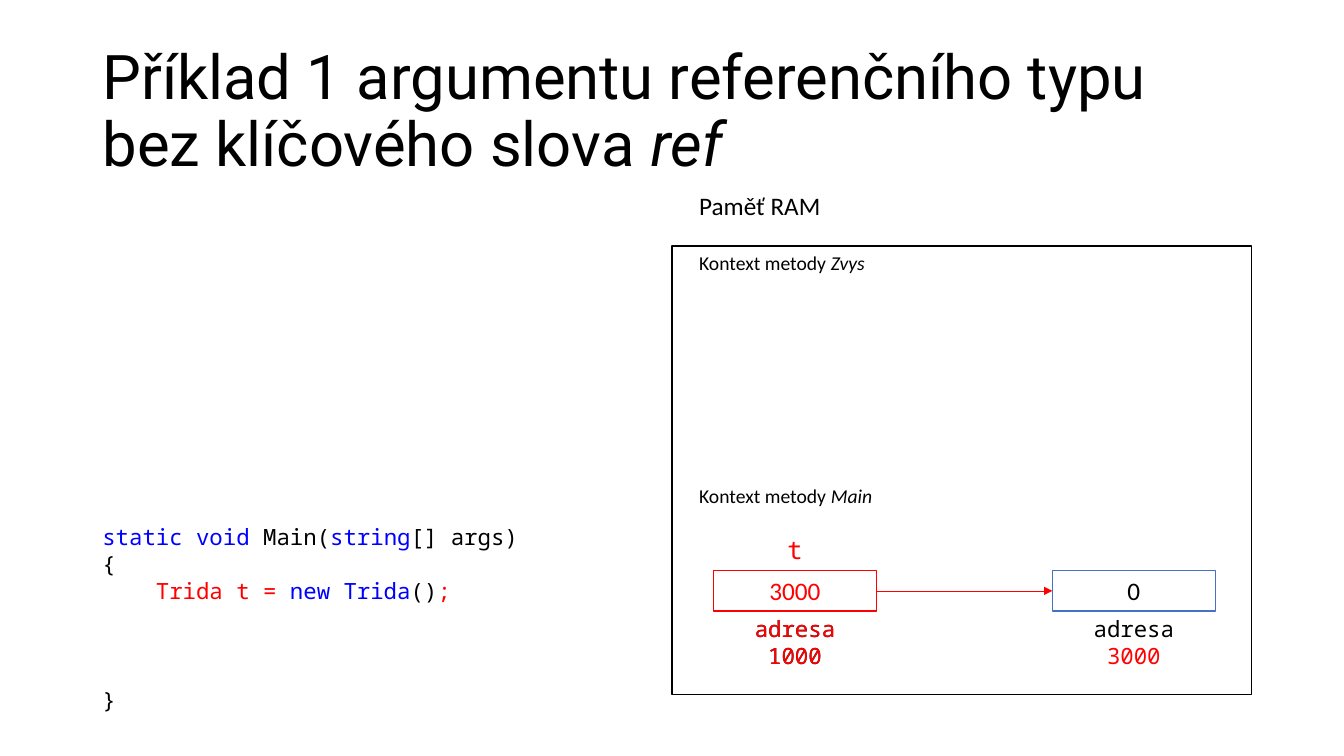
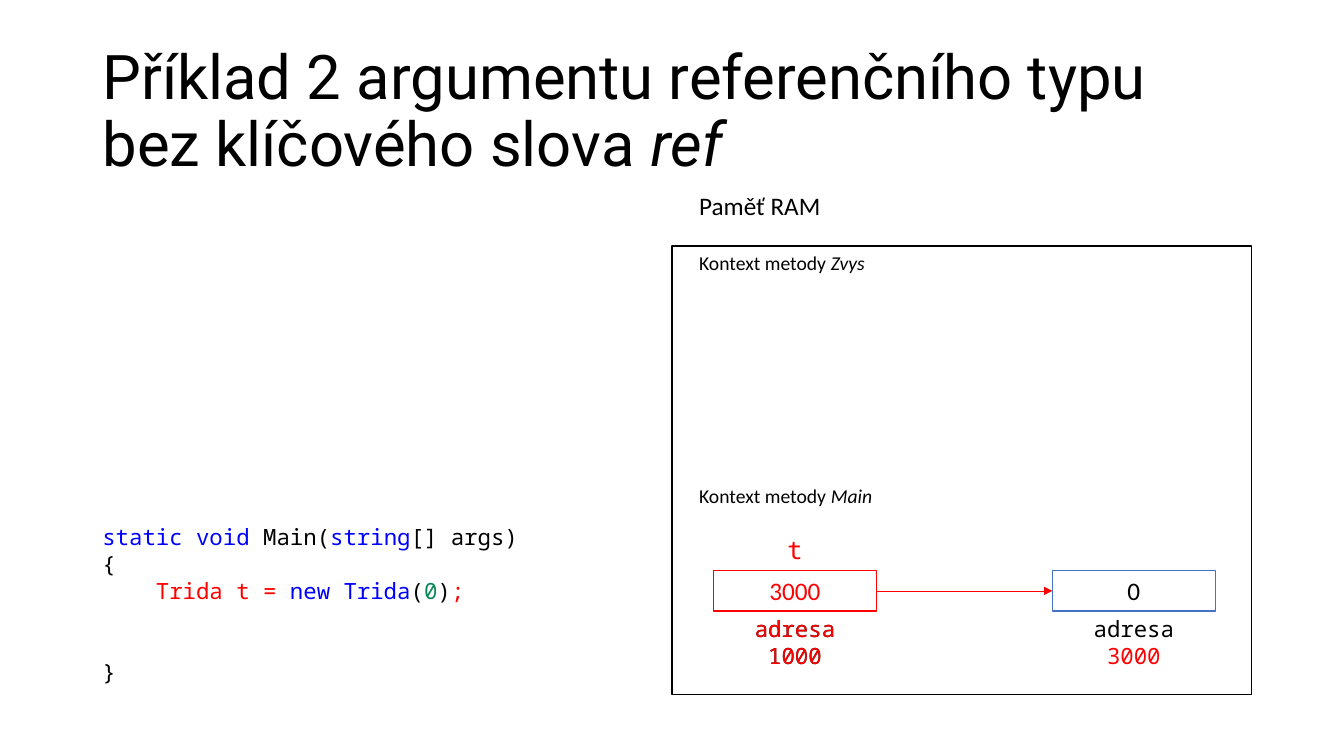
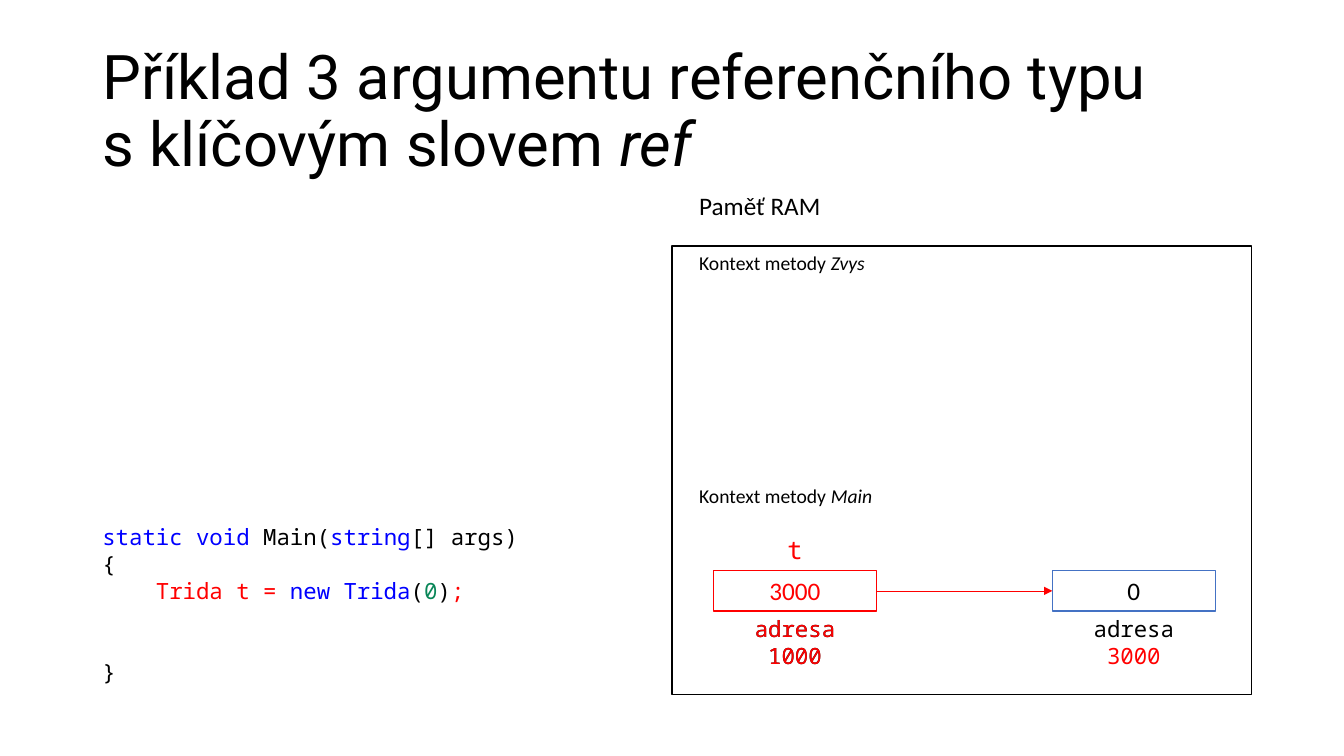
import dataclasses
import typing

import pptx
import pptx.dml.color
import pptx.enum.shapes
import pptx.enum.text
import pptx.oxml.ns
import pptx.shapes.autoshape
import pptx.shapes.connector
import pptx.slide
import pptx.text.text
import pptx.util
from lxml import etree

Cm = pptx.util.Cm
Pt = pptx.util.Pt
LEFT = pptx.enum.text.PP_ALIGN.LEFT
CENTER = pptx.enum.text.PP_ALIGN.CENTER

BLACK, WHITE, RED = "000000", "FFFFFF", "FF0000"
BLUE, KEYWORD, NUMBER = "4472C4", "0000FF", "098658"
TITLE_FONT, LABEL_FONT, CODE_FONT = "Roboto", "Calibri", "Noto Sans Mono"
CODE_LINE_POINTS = 19.4
VARIABLE_LEFT, OBJECT_LEFT = 17.98, 26.52
CELL_WIDTH, CELL_TOP, ADDRESS_TOP = 4.11, 14.38, 15.37
LABEL_LEFT = 17.37


@dataclasses.dataclass(frozen=True)
class Span:
    """A piece of text with its own colour and slant."""

    text: str
    color: str = BLACK
    italic: bool = False


@dataclasses.dataclass(frozen=True)
class Box:
    """A rectangle in centimetres."""

    left: float
    top: float
    width: float
    height: float

    def lengths(self) -> tuple[pptx.util.Length, ...]:
        """Return left, top, width and height as lengths."""
        return tuple(Cm(value) for value in dataclasses.astuple(self))


@dataclasses.dataclass(frozen=True)
class Example:
    """The parts in which the example slides differ."""

    number: int
    wording: str
    argument: str
    blank_lines: int


Line = typing.Sequence[Span]

EXAMPLES = (
    Example(1, "bez klíčového slova ", "", 3),
    Example(2, "bez klíčového slova ", "0", 2),
    Example(3, "s klíčovým slovem ", "0", 2),
)


def rgb(color: str) -> pptx.dml.color.RGBColor:
    """Turn a hex string into a colour."""
    return pptx.dml.color.RGBColor.from_string(color)


def add_text(
    paragraph: pptx.text.text._Paragraph,
    text: str,
    *,
    font: str,
    size: float,
    color: str = BLACK,
    italic: bool = False,
) -> None:
    """Append one formatted run to a paragraph."""
    run = paragraph.add_run()
    run.text = text
    run.font.name = font
    run.font.size = Pt(size)
    run.font.italic = italic
    run.font.color.rgb = rgb(color)


def add_label(
    slide: pptx.slide.Slide,
    box: Box,
    lines: typing.Sequence[Line],
    *,
    font: str,
    size: float,
    alignment: pptx.enum.text.PP_ALIGN = LEFT,
) -> pptx.text.text.TextFrame:
    """Add a text box with one paragraph per line."""
    frame = slide.shapes.add_textbox(*box.lengths()).text_frame
    frame.word_wrap = True
    frame.auto_size = pptx.enum.text.MSO_AUTO_SIZE.SHAPE_TO_FIT_TEXT
    for index, line in enumerate(lines):
        paragraph = frame.add_paragraph() if index else frame.paragraphs[0]
        paragraph.alignment = alignment
        for span in line:
            add_text(paragraph, span.text, font=font, size=size,
                     color=span.color, italic=span.italic)
    return frame


def add_rectangle(
    slide: pptx.slide.Slide, box: Box, line_color: str
) -> pptx.shapes.autoshape.Shape:
    """Add a white rectangle with a thin outline."""
    shape = slide.shapes.add_shape(
        pptx.enum.shapes.MSO_SHAPE.RECTANGLE, *box.lengths())
    shape.shadow.inherit = False
    shape.fill.solid()
    shape.fill.fore_color.rgb = rgb(WHITE)
    shape.line.color.rgb = rgb(line_color)
    shape.line.width = Pt(1)
    return shape


def add_cell(
    slide: pptx.slide.Slide, left: float, value: str, *, line_color: str, color: str
) -> pptx.shapes.autoshape.Shape:
    """Add a memory cell holding a value."""
    shape = add_rectangle(slide, Box(left, CELL_TOP, CELL_WIDTH, 1.02), line_color)
    shape.text_frame.vertical_anchor = pptx.enum.text.MSO_ANCHOR.MIDDLE
    paragraph = shape.text_frame.paragraphs[0]
    paragraph.alignment = CENTER
    add_text(paragraph, value, font=LABEL_FONT, size=18, color=color)
    return shape


def add_arrow(
    slide: pptx.slide.Slide,
    source: pptx.shapes.autoshape.Shape,
    target: pptx.shapes.autoshape.Shape,
) -> None:
    """Join the right side of one cell to the left side of another."""
    connector = slide.shapes.add_connector(
        pptx.enum.shapes.MSO_CONNECTOR.STRAIGHT, 0, 0, 0, 0)
    connector.begin_connect(source, 3)
    connector.end_connect(target, 1)
    connector.line.color.rgb = rgb(RED)
    connector.line.width = Pt(0.5)
    qualified = pptx.oxml.ns.qn
    properties = connector._element.spPr
    etree.SubElement(properties.find(qualified("a:ln")), qualified("a:tailEnd"),
                     type="triangle")
    etree.SubElement(properties, qualified("a:effectLst"))


def add_title(slide: pptx.slide.Slide, example: Example) -> None:
    """Place and fill the title placeholder."""
    title = slide.shapes.title
    title.left, title.top, title.width, title.height = Box(
        2.33, 1.01, 29.21, 3.68).lengths()
    frame = title.text_frame
    frame.word_wrap = True
    frame.auto_size = pptx.enum.text.MSO_AUTO_SIZE.NONE
    frame.vertical_anchor = pptx.enum.text.MSO_ANCHOR.MIDDLE
    paragraph = frame.paragraphs[0]
    paragraph.alignment = LEFT
    paragraph.line_spacing = 0.9
    add_text(paragraph, f"Příklad {example.number} argumentu referenčního typu",
             font=TITLE_FONT, size=44)
    paragraph.add_line_break()
    add_text(paragraph, example.wording, font=TITLE_FONT, size=44)
    add_text(paragraph, "ref", font=TITLE_FONT, size=44, italic=True)


def add_code(slide: pptx.slide.Slide, example: Example) -> None:
    """Add the listing of the Main method."""
    lines = (
        (Span("static void ", KEYWORD), Span("Main("), Span("string", KEYWORD),
         Span("[] args)")),
        (Span("{"),),
        (Span("    Trida t = ", RED), Span("new Trida", KEYWORD), Span("("),
         *([Span(example.argument, NUMBER)] if example.argument else []),
         Span(")"), Span(";", RED)),
        (Span("}"),),
    )
    frame = add_label(slide, Box(2.33, 13.07, 14.6, 5), lines,
                      font=CODE_FONT, size=16)
    frame.paragraphs[-1].space_before = Pt(example.blank_lines * CODE_LINE_POINTS)


def add_memory(slide: pptx.slide.Slide) -> None:
    """Draw the memory with the variable and the object it refers to."""
    add_label(slide, Box(LABEL_LEFT, 4.67, 4.72, 1.03), [[Span("Paměť RAM")]],
              font=LABEL_FONT, size=18)
    for method, top in (("Main", 12.07), ("Zvys", 6.2)):
        add_label(slide, Box(LABEL_LEFT, top, 7.92, 0.85),
                  [[Span("Kontext metody "), Span(method, italic=True)]],
                  font=LABEL_FONT, size=14)
    variable = add_cell(slide, VARIABLE_LEFT, "3000", line_color=RED, color=RED)
    target = add_cell(slide, OBJECT_LEFT, "0", line_color=BLUE, color=BLACK)
    add_label(slide, Box(VARIABLE_LEFT, 13.34, CELL_WIDTH, 1.03), [[Span("t", RED)]],
              font=CODE_FONT, size=18, alignment=CENTER)
    addresses = (
        (VARIABLE_LEFT, [Span("adresa 1000")]),
        (VARIABLE_LEFT, [Span("adresa 1000", RED)]),
        (OBJECT_LEFT, [Span("adresa "), Span("3000", RED)]),
    )
    for left, line in addresses:
        add_label(slide, Box(left, ADDRESS_TOP, CELL_WIDTH, 0.94), [line],
                  font=CODE_FONT, size=16, alignment=CENTER)
    add_arrow(slide, variable, target)


def main() -> None:
    """Build and save the presentation."""
    presentation = pptx.Presentation()
    presentation.slide_width = Cm(33.87)
    presentation.slide_height = Cm(19.05)
    for example in EXAMPLES:
        slide = presentation.slides.add_slide(presentation.slide_layouts[5])
        add_rectangle(slide, Box(16.94, 6.2, 14.6, 11.3), BLACK)
        add_title(slide, example)
        add_memory(slide)
        add_code(slide, example)
    presentation.save("out.pptx")


if __name__ == "__main__":
    main()
